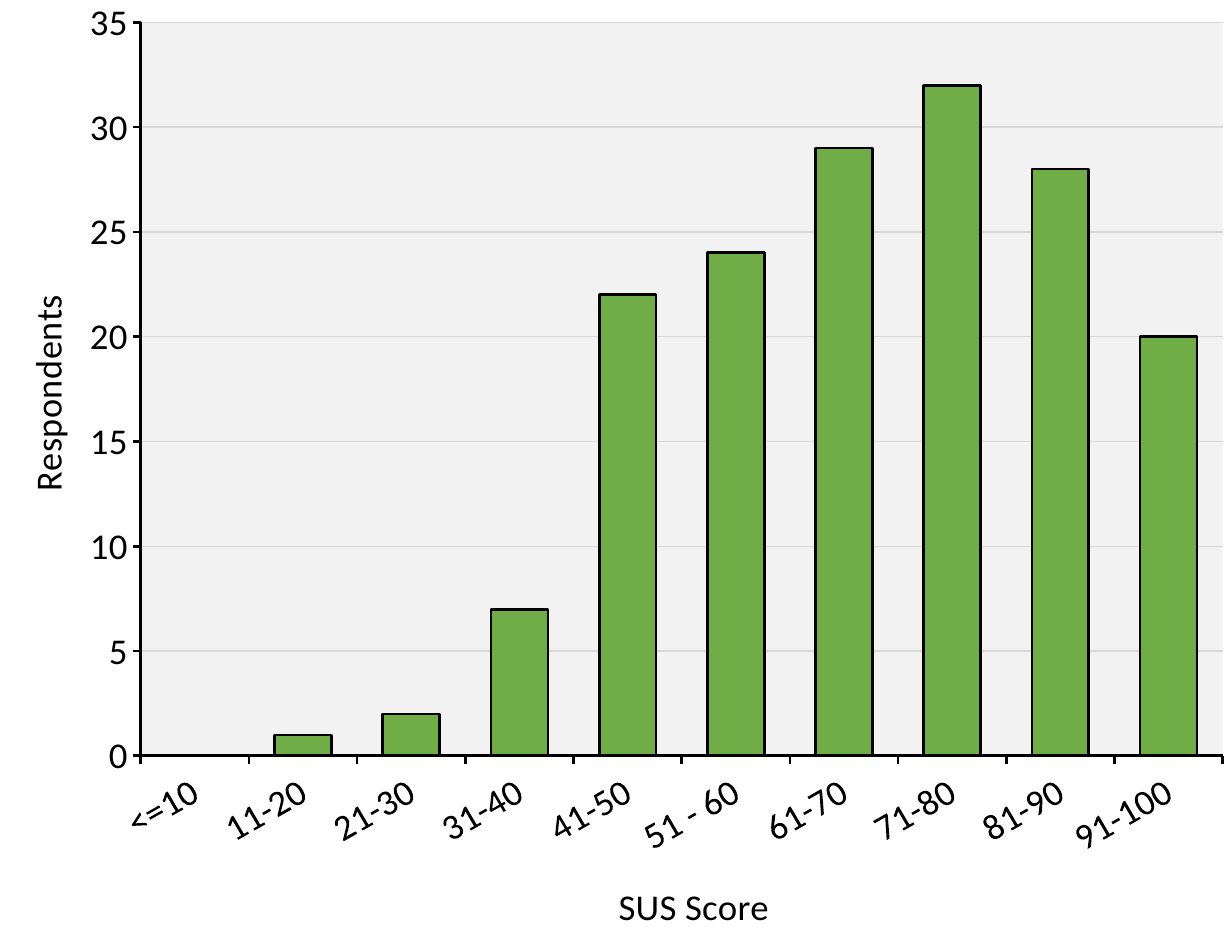
"""Build a slide with a column chart of respondents by SUS score."""
from dataclasses import dataclass

from lxml.etree import SubElement
from pptx import Presentation
from pptx.chart.axis import _BaseAxis
from pptx.chart.chart import Chart
from pptx.chart.data import CategoryChartData
from pptx.dml.color import RGBColor
from pptx.dml.line import LineFormat
from pptx.enum.chart import XL_CHART_TYPE, XL_TICK_MARK
from pptx.oxml import parse_xml
from pptx.oxml.ns import nsdecls, qn
from pptx.oxml.xmlchemy import BaseOxmlElement
from pptx.text.text import Font
from pptx.util import Inches, Pt

BLACK = "000000"
GREEN = "70AD47"
PLOT_GREY = "F2F2F2"
GRID_GREY = "D9D9D9"
PLOT_BOX = {"x": 0.115, "y": 0.024, "w": 0.884, "h": 0.793}
LABEL_ANGLE = -30
RESPONDENTS = {
    "<=10": 0, "11-20": 1, "21-30": 2, "31-40": 7, "41-50": 22,
    "51 - 60": 24, "61-70": 29, "71-80": 32, "81-90": 28, "91-100": 20,
}


@dataclass
class AxisStyle:
    axis: _BaseAxis
    title: str
    title_place: dict[str, float]
    gridlines: bool


def rgb(code: str) -> RGBColor:
    return RGBColor.from_string(code)


def style_font(font: Font) -> None:
    font.name = "Calibri"
    font.size = Pt(20)
    font.bold = False
    font.color.rgb = rgb(BLACK)


def style_line(line: LineFormat, color: str, width: float) -> None:
    line.color.rgb = rgb(color)
    line.width = Pt(width)


def place(part: BaseOxmlElement, index: int, settings: dict[str, str | float]) -> None:
    for old_layout in part.findall(qn("c:layout")):
        part.remove(old_layout)
    layout = parse_xml(f"<c:layout {nsdecls('c')}><c:manualLayout/></c:layout>")
    for name, value in settings.items():
        SubElement(layout[0], qn(f"c:{name}")).set("val", str(value))
    part.insert(index, layout)


def style_axis(style: AxisStyle) -> None:
    axis = style.axis
    title_frame = axis.axis_title.text_frame
    title_frame.text = style.title
    style_font(title_frame.paragraphs[0].runs[0].font)
    edges = {"xMode": "edge", "yMode": "edge"}
    place(axis.axis_title.element if hasattr(axis.axis_title, "element")
          else axis.axis_title._element, 1, edges | style.title_place)
    style_font(axis.tick_labels.font)
    style_line(axis.format.line, BLACK, 1.5)
    axis.major_tick_mark = XL_TICK_MARK.OUTSIDE
    axis.minor_tick_mark = XL_TICK_MARK.NONE
    axis.has_major_gridlines = style.gridlines
    if style.gridlines:
        style_line(axis.major_gridlines.format.line, GRID_GREY, 0.75)


def style_plot_area(chart: Chart) -> None:
    plot_area = chart.element.xpath("c:chart/c:plotArea")[0]
    edges = {"layoutTarget": "inner", "xMode": "edge", "yMode": "edge"}
    place(plot_area, 0, edges | PLOT_BOX)
    plot_area.append(parse_xml(
        f"<c:spPr {nsdecls('c', 'a')}><a:solidFill>"
        f'<a:srgbClr val="{PLOT_GREY}"/></a:solidFill></c:spPr>'
    ))
    label_body = plot_area.xpath("c:catAx/c:txPr/a:bodyPr")[0]
    label_body.set("rot", str(LABEL_ANGLE * 60000))


def main() -> None:
    presentation = Presentation()
    presentation.slide_width = Inches(9.3)
    presentation.slide_height = Inches(7.1)
    slide = presentation.slides.add_slide(presentation.slide_layouts[6])

    scores = CategoryChartData()
    scores.categories = list(RESPONDENTS)
    scores.add_series("Series 1", list(RESPONDENTS.values()))
    chart = slide.shapes.add_chart(
        XL_CHART_TYPE.COLUMN_CLUSTERED, 0, 0, Inches(9.24), Inches(7.1), scores
    ).chart
    chart.has_title = False
    chart.has_legend = False
    style_font(chart.font)

    columns = chart.plots[0]
    columns.gap_width = 90
    columns.vary_by_categories = False
    column_format = columns.series[0].format
    column_format.fill.solid()
    column_format.fill.fore_color.rgb = rgb(GREEN)
    style_line(column_format.line, BLACK, 1.5)

    chart.value_axis.minimum_scale = 0
    chart.value_axis.maximum_scale = 35
    chart.value_axis.major_unit = 5
    for style in (
        AxisStyle(chart.category_axis, "SUS Score", {"x": 0.5, "y": 0.945}, False),
        AxisStyle(chart.value_axis, "Respondents", {"x": 0.012, "y": 0.315}, True),
    ):
        style_axis(style)
    style_plot_area(chart)
    presentation.save("out.pptx")


if __name__ == "__main__":
    main()
